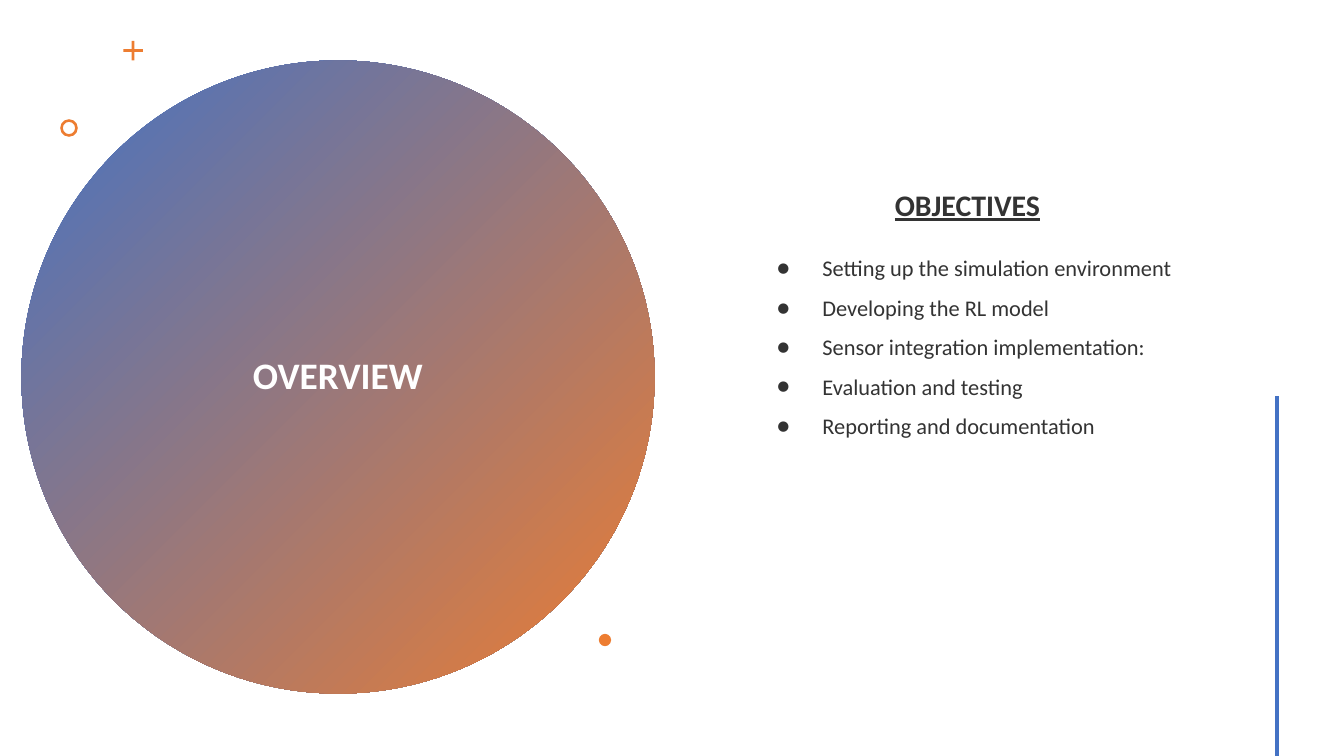
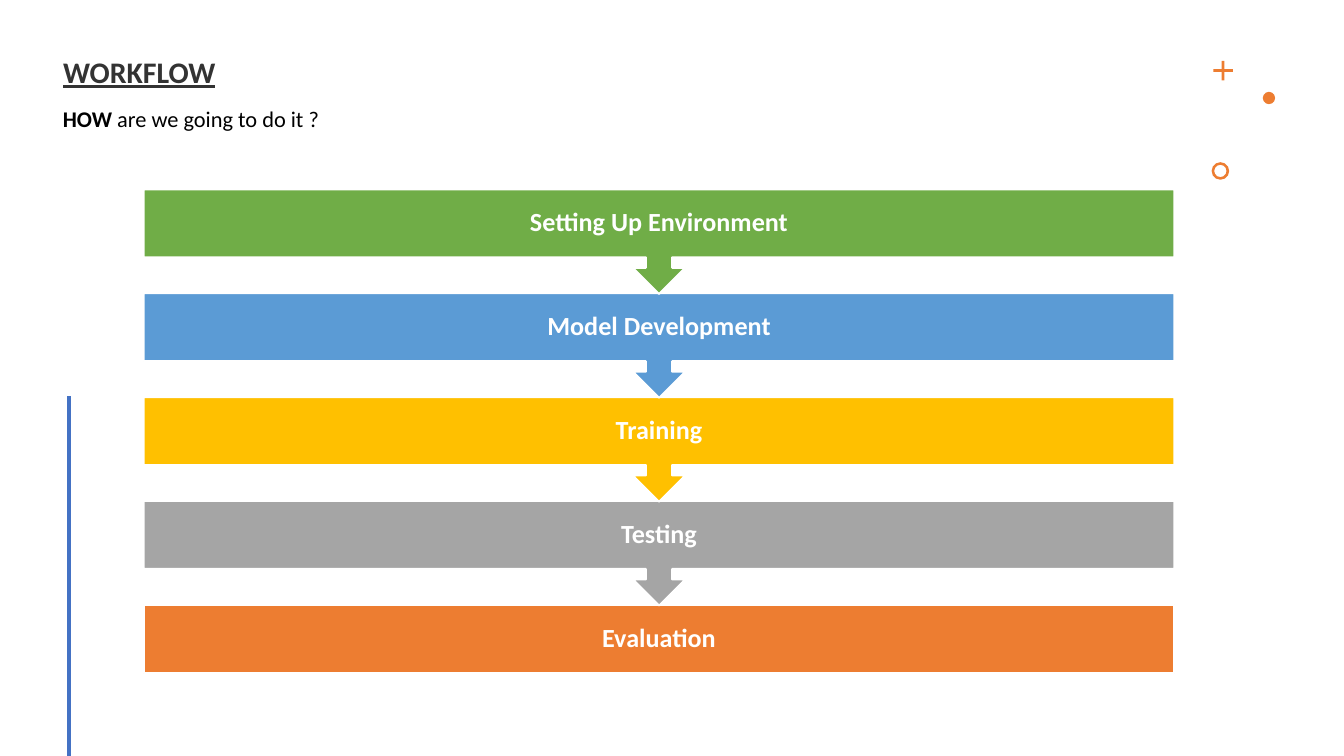
from dataclasses import dataclass

from lxml.etree import SubElement
from pptx import Presentation
from pptx.dml.color import RGBColor
from pptx.enum.shapes import MSO_CONNECTOR, MSO_SHAPE
from pptx.enum.text import MSO_ANCHOR, MSO_AUTO_SIZE, PP_ALIGN
from pptx.oxml.ns import qn
from pptx.util import Pt


@dataclass(frozen=True)
class Theme:
    font: str = "Calibri"
    white: str = "FFFFFF"
    black: str = "000000"
    ink: str = "333333"
    blue: str = "4472C4"
    orange: str = "ED7D31"
    section_size: int = 20
    heading_size: int = 16
    step_size: int = 14
    body_size: int = 12


THEME = Theme()
SLIDE_WIDTH, SLIDE_HEIGHT = 720, 405

SECTION = {"size": THEME.section_size, "bold": True, "color": THEME.white}
HEADING = {"size": THEME.heading_size, "bold": True, "underline": True, "color": THEME.ink}
STEP = {"size": THEME.step_size, "bold": True, "color": THEME.white}
BODY = {"size": THEME.body_size, "color": THEME.ink}
QUESTION = {"size": THEME.body_size, "color": THEME.black}

OBJECTIVES = [
    "Setting up the simulation environment",
    "Developing the RL model",
    "Sensor integration implementation:",
    "Evaluation and testing",
    "Reporting and documentation",
]

STEPS = [
    ("Setting Up Environment", "70AD47"),
    ("Model Development", "5B9BD5"),
    ("Training", "FFC000"),
    ("Testing", "A5A5A5"),
    ("Evaluation", THEME.orange),
]
STEP_LEFT, STEP_TOP, STEP_WIDTH = 77, 101.5, 552.2
STEP_PITCH, STEP_HEIGHT, CALLOUT_HEIGHT = 55.65, 36.5, 56

# Ornament: preset shape, diameter, first adjustment
ORNAMENTS = {
    "plus": (MSO_SHAPE.CROSS, 10.4, 0.43),
    "ring": (MSO_SHAPE.DONUT, 9.4, 0.15),
    "dot": (MSO_SHAPE.OVAL, 6.6, None),
}
OVERVIEW_ORNAMENTS = {"plus": (71.3, 27.1), "ring": (37, 68.6), "dot": (324.1, 342.9)}
WORKFLOW_ORNAMENTS = {"plus": (655.2, 37.8), "ring": (653.8, 91.6), "dot": (679.8, 52.5)}


def color(value):
    return RGBColor.from_string(value)


def points(*lengths):
    return [Pt(length) for length in lengths]


def place(shape, *bounds):
    shape.left, shape.top, shape.width, shape.height = points(*bounds)


def add_span(para, text, style):
    span = para.add_run()
    span.text = text
    span.font.name = THEME.font
    for name, value in style.items():
        if name == "color":
            span.font.color.rgb = color(value)
        else:
            setattr(span.font, name, Pt(value) if name == "size" else value)


def format_frame(frame, **values):
    for name, value in values.items():
        setattr(frame, name, value)


def format_para(para, **values):
    for name, value in values.items():
        setattr(para, name, value)


def set_title(page, text, style, bounds, anchor, alignment):
    title = page.shapes.title
    place(title, *bounds)
    format_frame(title.text_frame, auto_size=MSO_AUTO_SIZE.NONE, vertical_anchor=anchor)
    para = title.text_frame.paragraphs[0]
    format_para(para, alignment=alignment, line_spacing=0.9)
    add_span(para, text, style)
    return title


def add_label(page, bounds, spans):
    """Add an unwrapped line of (text, style) spans."""
    box = page.shapes.add_textbox(*points(*bounds))
    box.text_frame.word_wrap = False
    for text, style in spans:
        add_span(box.text_frame.paragraphs[0], text, style)


def add_filled(page, preset, bounds, fill, outline=None):
    shape = page.shapes.add_shape(preset, *points(*bounds))
    shape.shadow.inherit = False
    shape.fill.solid()
    shape.fill.fore_color.rgb = color(fill)
    if outline:
        shape.line.color.rgb = color(outline)
        shape.line.width = Pt(1)
    else:
        shape.line.fill.background()
    return shape


def add_ornaments(page, centers):
    for kind, (x, y) in centers.items():
        preset, size, adjustment = ORNAMENTS[kind]
        bounds = (x - size / 2, y - size / 2, size, size)
        ornament = add_filled(page, preset, bounds, THEME.orange)
        if adjustment is not None:
            ornament.adjustments[0] = adjustment


def add_side_rule(page, x):
    """Draw the vertical line that runs off the lower edge."""
    rule = page.shapes.add_connector(
        MSO_CONNECTOR.STRAIGHT, *points(x, 212.2, x, SLIDE_HEIGHT))
    rule.line.color.rgb = color(THEME.blue)
    rule.line.width = Pt(2)
    SubElement(rule.element.spPr, qn("a:effectLst"))


def set_bullet(para, left, hanging):
    properties = para._p.get_or_add_pPr()
    properties.set("marL", str(Pt(left)))
    properties.set("indent", str(-Pt(hanging)))
    SubElement(properties, qn("a:buFont"), typeface=THEME.font)
    SubElement(properties, qn("a:buChar"), char="●")


def fill_objectives(body):
    place(body, 397.4, 101.5, 267.8, 162)
    frame = body.text_frame
    format_frame(frame, auto_size=MSO_AUTO_SIZE.NONE, vertical_anchor=MSO_ANCHOR.MIDDLE)
    for index, objective in enumerate(OBJECTIVES):
        para = frame.add_paragraph() if index else frame.paragraphs[0]
        format_para(para, alignment=PP_ALIGN.LEFT, line_spacing=1.47,
                    space_before=Pt(0), space_after=Pt(0))
        set_bullet(para, 36, 24.5)
        add_span(para, objective, BODY)


def build_overview(deck):
    page = deck.slides.add_slide(deck.slide_layouts[1])
    title = set_title(page, "OVERVIEW", SECTION, (73.4, 76.3, 215.3, 252),
                      MSO_ANCHOR.MIDDLE, PP_ALIGN.CENTER)
    circle = add_filled(page, MSO_SHAPE.OVAL, (11.5, 32.4, 339.2, 339.2), THEME.blue)
    circle.fill.gradient()
    circle.fill.gradient_angle = 315
    for stop, shade in zip(circle.fill.gradient_stops, (THEME.blue, THEME.orange)):
        stop.color.rgb = color(shade)
    title.element.addprevious(circle.element)

    fill_objectives(page.placeholders[1])
    add_ornaments(page, OVERVIEW_ORNAMENTS)
    add_side_rule(page, 684)
    add_label(page, (472.3, 96.5, 93.6, 48), [("OBJECTIVES", HEADING)])


def add_steps(page):
    """Stack the steps from the last up, so each arrow lies over the next box."""
    last = len(STEPS) - 1
    for index, (text, fill) in reversed(list(enumerate(STEPS))):
        preset, height = ((MSO_SHAPE.RECTANGLE, STEP_HEIGHT) if index == last
                          else (MSO_SHAPE.DOWN_ARROW_CALLOUT, CALLOUT_HEIGHT))
        bounds = (STEP_LEFT, STEP_TOP + index * STEP_PITCH, STEP_WIDTH, height)
        step = add_filled(page, preset, bounds, fill, THEME.white)
        format_frame(step.text_frame, vertical_anchor=MSO_ANCHOR.MIDDLE, word_wrap=True)
        para = step.text_frame.paragraphs[0]
        format_para(para, alignment=PP_ALIGN.CENTER, line_spacing=0.9)
        add_span(para, text, STEP)


def build_workflow(deck):
    page = deck.slides.add_slide(deck.slide_layouts[5])
    set_title(page, "WORKFLOW", HEADING, (26.6, 27.4, 552.2, 31),
              MSO_ANCHOR.TOP, PP_ALIGN.LEFT)
    add_ornaments(page, WORKFLOW_ORNAMENTS)
    add_side_rule(page, 37)
    add_steps(page)
    add_label(page, (26.6, 52.6, 156.2, 21.6), [
        ("HOW ", {**QUESTION, "bold": True}),
        ("are we going to do it ?", QUESTION),
    ])


def main():
    deck = Presentation()
    deck.slide_width, deck.slide_height = points(SLIDE_WIDTH, SLIDE_HEIGHT)
    build_overview(deck)
    build_workflow(deck)
    deck.save("out.pptx")


if __name__ == "__main__":
    main()
